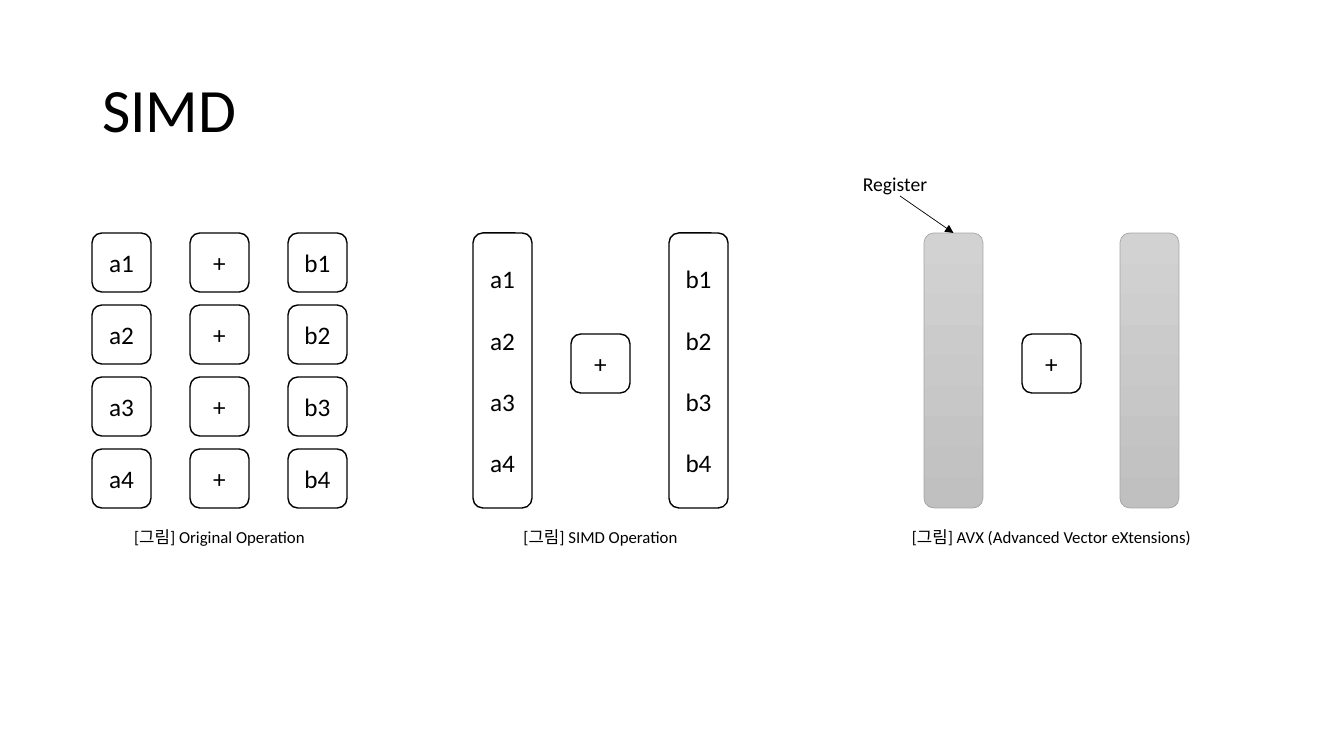
from dataclasses import dataclass

from lxml import etree
from pptx import Presentation
from pptx.dml.color import RGBColor
from pptx.enum.shapes import MSO_CONNECTOR, MSO_SHAPE
from pptx.enum.text import MSO_ANCHOR, MSO_AUTO_SIZE, PP_ALIGN
from pptx.oxml.ns import qn
from pptx.util import Emu, Pt

ROUND = MSO_SHAPE.ROUNDED_RECTANGLE
STRAIGHT = MSO_CONNECTOR.STRAIGHT
TOP, MIDDLE = MSO_ANCHOR.TOP, MSO_ANCHOR.MIDDLE
LEFT, CENTER = PP_ALIGN.LEFT, PP_ALIGN.CENTER
NO_FIT = MSO_AUTO_SIZE.NONE

# Content
TITLE = "SIMD"
A = ["a1", "a2", "a3", "a4"]
B = ["b1", "b2", "b3", "b4"]
PLUS = "+"
REGISTER = "Register"
# kind, left px, caption, caption width px
PANELS = [
    ("scalar", 92, "[그림] Original Operation", 212),
    ("vector", 473, "[그림] SIMD Operation", 212),
    ("register", 924, "[그림] AVX (Advanced Vector eXtensions)", 344),
]


@dataclass(frozen=True)
class Theme:
    font: str = "Calibri"
    ink: RGBColor = RGBColor(0, 0, 0)
    paper: RGBColor = RGBColor(255, 255, 255)
    edge: RGBColor = RGBColor(0xA5, 0xA5, 0xA5)
    shades: tuple = (RGBColor(0xD2, 0xD2, 0xD2), RGBColor(0xC0, 0xC0, 0xC0))
    title: int = 44
    label: int = 14
    cell: int = 18
    caption: int = 12
    lane_gap: int = 22
    line: float = 1
    thin: float = 0.5


THEME = Theme()

# Layout in px
SCALE = 914400 / 100.8
SLIDE = (1344, 756)
TITLE_BOX = (92, 40, 1159, 146)
LABEL_BOX = (853, 167, 96, 34)
ARROW_FROM = (900, 196)
CELL, COL_STEP, ROW_STEP = 59, 98, 72
GRID_TOP = 233
GRID_HEIGHT = 3 * ROW_STEP + CELL
PLUS_TOP = 334
CAPTION_TOP, CAPTION_HEIGHT = 522, 30


def px(*values):
    return [Emu(round(v * SCALE)) for v in values]


def write(sp, lines, size, align=CENTER, anchor=MIDDLE, wrap=True, **spacing):
    tf = sp.text_frame
    for name, value in {"word_wrap": wrap, "auto_size": NO_FIT,
                        "vertical_anchor": anchor}.items():
        setattr(tf, name, value)
    for i, line in enumerate(lines):
        p = tf.paragraphs[0] if i == 0 else tf.add_paragraph()
        p.alignment = align
        for name, value in spacing.items():
            if i or name != "space_before":
                setattr(p, name, value)
        r = p.add_run()
        r.text = line
        for name, value in {"name": THEME.font, "size": Pt(size)}.items():
            setattr(r.font, name, value)
        r.font.color.rgb = THEME.ink


def add_text(slide, box, text, size, **fmt):
    sp = slide.shapes.add_textbox(*px(*box))
    write(sp, [text], size, anchor=TOP, **fmt)


def add_box(slide, x, y, height, lines=()):
    """Add a white box with lines, or a shaded one when it has none."""
    sp = slide.shapes.add_shape(ROUND, *px(x, y, CELL, height))
    sp.shadow.inherit = False
    if lines:
        sp.fill.solid()
        sp.fill.fore_color.rgb = THEME.paper
        write(sp, lines, THEME.cell, space_before=Pt(THEME.lane_gap))
    else:
        sp.fill.gradient()
        sp.fill.gradient_angle = 270
        for stop, shade in zip(sp.fill.gradient_stops, THEME.shades):
            stop.color.rgb = shade
    sp.line.color.rgb = THEME.ink if lines else THEME.edge
    sp.line.width = Pt(THEME.line if lines else THEME.thin)


def add_arrow(slide, start, end):
    sp = slide.shapes.add_connector(STRAIGHT, *px(*start, *end))
    sp.line.color.rgb = THEME.ink
    sp.line.width = Pt(THEME.thin)
    etree.SubElement(sp.line._get_or_add_ln(), qn("a:tailEnd"), type="triangle")
    etree.SubElement(sp._element.spPr, qn("a:effectLst"))


def add_panel(slide, kind, left, caption, caption_width):
    cols = [left + i * COL_STEP for i in range(3)]
    if kind == "scalar":
        for row, texts in enumerate(zip(A, [PLUS] * len(A), B)):
            for x, text in zip(cols, texts):
                add_box(slide, x, GRID_TOP + row * ROW_STEP, CELL, [text])
    else:
        lanes = (A, B) if kind == "vector" else ((), ())
        for x, lines in zip(cols[::2], lanes):
            add_box(slide, x, GRID_TOP, GRID_HEIGHT, lines)
        add_box(slide, cols[1], PLUS_TOP, CELL, [PLUS])
    center = cols[1] + CELL / 2
    box = (center - caption_width / 2, CAPTION_TOP, caption_width, CAPTION_HEIGHT)
    add_text(slide, box, caption, THEME.caption)


def main():
    prs = Presentation()
    prs.slide_width, prs.slide_height = px(*SLIDE)
    slide = prs.slides.add_slide(prs.slide_layouts[5])

    # Title
    title = slide.shapes.title
    title.left, title.top, title.width, title.height = px(*TITLE_BOX)
    write(title, [TITLE], THEME.title, align=LEFT, line_spacing=0.9)

    # Panels
    for panel in PANELS:
        add_panel(slide, *panel)

    # Register label pointing at the first register
    register_left = PANELS[-1][1]
    add_arrow(slide, ARROW_FROM, (register_left + CELL / 2, GRID_TOP))
    add_text(slide, LABEL_BOX, REGISTER, THEME.label, align=LEFT, wrap=False)

    prs.save("out.pptx")


if __name__ == "__main__":
    main()
